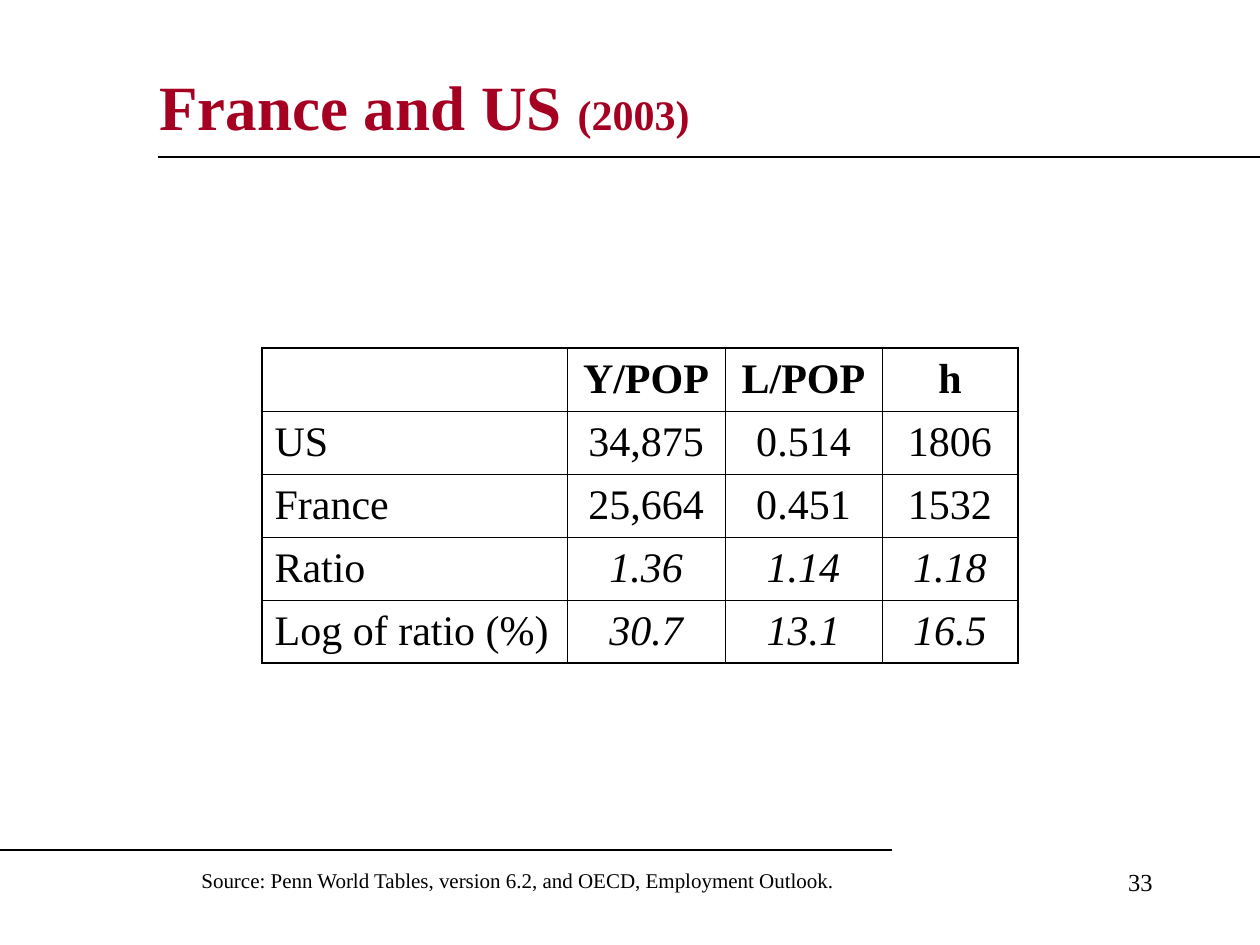
from lxml import etree
from pptx import Presentation
from pptx import util as u
from pptx.dml.color import RGBColor
from pptx.enum import shapes, text
from pptx.oxml import ns

BLACK = RGBColor(0x00, 0x00, 0x00)
CRIMSON = RGBColor(0xA5, 0x00, 0x21)

PX = 914400 / 126
WIDTH, HEIGHT = 1260, 945

COLUMN_WIDTHS = [305, 158, 157, 136]
ROW_HEIGHT = 63
INNER, OUTER = 0.45, 1.08  # border widths in points

HEADER = ["", "Y/POP", "L/POP", "h"]
VALUES = [
    ["US", "34,875", "0.514", "1806"],
    ["France", "25,664", "0.451", "1532"],
]
COMPARISONS = [
    ["Ratio", "1.36", "1.14", "1.18"],
    ["Log of ratio (%)", "30.7", "13.1", "16.5"],
]


def emu(px):
    return u.Emu(round(px * PX))


class Painter:
    font_name = "Times New Roman"

    def __init__(self, page):
        self.page = page

    def span(self, para, wording, size, color=BLACK, **style):
        """Add one run of text to a paragraph."""
        span = para.add_run()
        span.text = wording
        span.font.color.rgb = color
        values = {"name": self.font_name, "size": u.Pt(size), **style}
        for name, value in values.items():
            setattr(span.font, name, value)

    def textbox(self, left, top, width, height, spans,
                align=text.PP_ALIGN.LEFT, anchor=text.MSO_ANCHOR.TOP):
        """Add a one-paragraph box; spans are (wording, format) pairs."""
        box = self.page.shapes.add_textbox(*map(emu, (left, top, width, height)))
        box.text_frame.word_wrap = True
        box.text_frame.vertical_anchor = anchor
        para = box.text_frame.paragraphs[0]
        para.alignment = align
        for wording, style in spans:
            self.span(para, wording, **style)

    def rule(self, left, right, y):
        """Add a thin horizontal line."""
        line = self.page.shapes.add_connector(
            shapes.MSO_CONNECTOR.STRAIGHT, *map(emu, (left, y, right, y)))
        line.line.color.rgb = BLACK
        line.line.width = u.Pt(0.75)
        etree.SubElement(line._element.spPr, ns.qn("a:effectLst"))

    def border(self, cell, widths):
        """Draw cell borders; widths maps L, R, T, B to points, in that order."""
        properties = cell._tc.get_or_add_tcPr()
        for side, width in widths.items():
            line = etree.SubElement(properties, ns.qn(f"a:ln{side}"), w=str(u.Pt(width)))
            fill = etree.SubElement(line, ns.qn("a:solidFill"))
            etree.SubElement(fill, ns.qn("a:srgbClr"), val=str(BLACK))

    def table(self, left, top, rows):
        """Add a bordered table; rows are (wordings, value format) pairs."""
        last_row, last_column = len(rows) - 1, len(COLUMN_WIDTHS) - 1
        frame = self.page.shapes.add_table(
            len(rows), len(COLUMN_WIDTHS),
            *map(emu, (left, top, sum(COLUMN_WIDTHS), ROW_HEIGHT * len(rows))))
        table = frame.table
        table.first_row = table.horz_banding = False
        for column, width in zip(table.columns, COLUMN_WIDTHS):
            column.width = emu(width)
        for r, (wordings, style) in enumerate(rows):
            table.rows[r].height = emu(ROW_HEIGHT)
            for c, wording in enumerate(wordings):
                cell = table.cell(r, c)
                outer = {"L": c == 0, "R": c == last_column,
                         "T": r == 0, "B": r == last_row}
                self.border(cell, {side: OUTER if edge else INNER
                                   for side, edge in outer.items()})
                cell.fill.background()
                cell.vertical_anchor = text.MSO_ANCHOR.MIDDLE
                para = cell.text_frame.paragraphs[0]
                para.alignment = text.PP_ALIGN.CENTER if c else text.PP_ALIGN.LEFT
                if wording:
                    self.span(para, wording, 24, **(style if c else {}))


def main():
    deck = Presentation()
    deck.slide_width, deck.slide_height = emu(WIDTH), emu(HEIGHT)
    painter = Painter(deck.slides.add_slide(deck.slide_layouts[6]))

    title = {"color": CRIMSON, "bold": True}
    painter.textbox(147, 53, 1040, 105,
                    [("France and US ", {"size": 36, **title}),
                     ("(2003)", {"size": 24, **title})],
                    anchor=text.MSO_ANCHOR.MIDDLE)
    painter.rule(158, WIDTH, 157)

    painter.table(262, 348,
                  [(HEADER, {"bold": True})]
                  + [(row, {}) for row in VALUES]
                  + [(row, {"italic": True}) for row in COMPARISONS])

    painter.rule(0, 892, 850)
    painter.textbox(189, 861, 777, 38,
                    [("Source: Penn World Tables, version 6.2, and OECD, "
                      "Employment Outlook.", {"size": 12})])
    painter.textbox(903, 861, 262, 63, [("33", {"size": 14})],
                    align=text.PP_ALIGN.RIGHT)
    deck.save("out.pptx")


if __name__ == "__main__":
    main()
